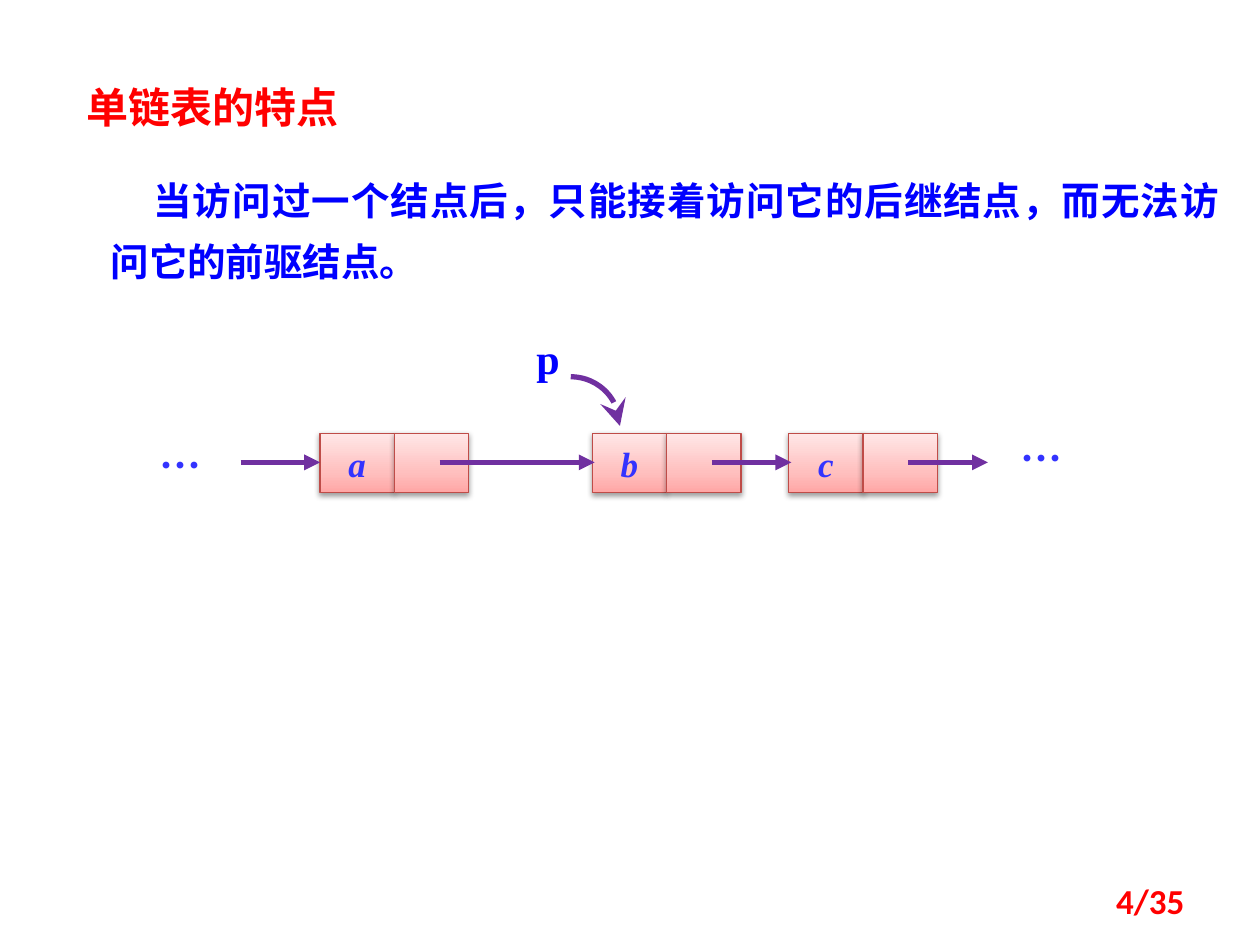
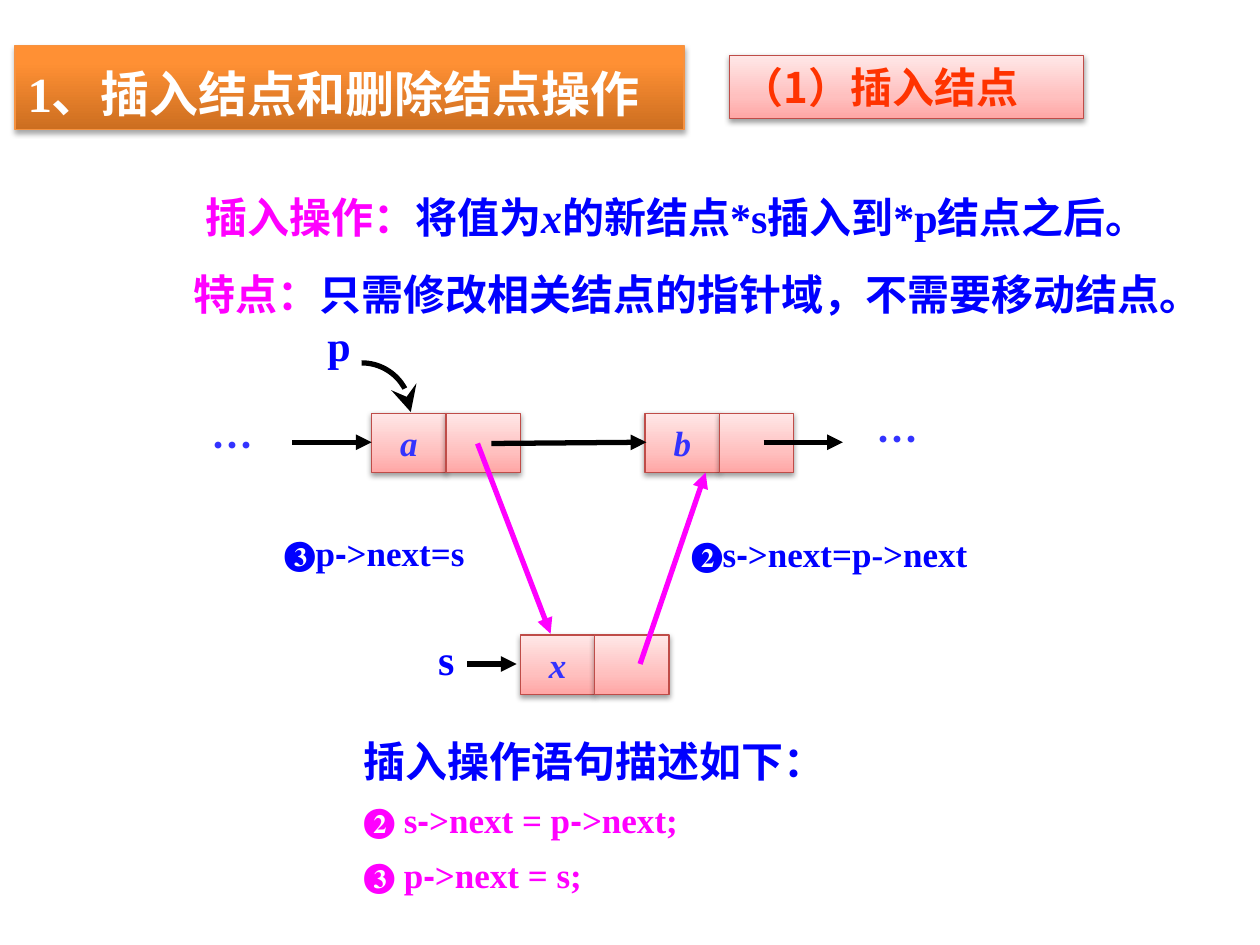
import dataclasses
import math
import typing

import lxml.etree
import pptx
import pptx.dml.color
import pptx.enum.shapes
import pptx.enum.text
import pptx.oxml.ns
import pptx.util

PX = 9144  # EMU in one px, 100 px to the inch
ALIGN = pptx.enum.text.PP_ALIGN
ANCHOR = pptx.enum.text.MSO_ANCHOR
FIT = pptx.enum.text.MSO_AUTO_SIZE
SHAPE = pptx.enum.shapes.MSO_SHAPE
qn = pptx.oxml.ns.qn


@dataclasses.dataclass(frozen=True)
class Skin:
    """Fill stops from bottom to top, edge colour and shadow of a panel."""
    stops: tuple[tuple[int, str], ...]
    edge: str
    alpha: int
    drop: int


@dataclasses.dataclass(frozen=True)
class Theme:
    blue: str = "0000FF"
    mark: str = "3333FF"
    red: str = "FF0000"
    warm: str = "FF3300"
    pink: str = "FF00FF"
    plum: str = "7030A0"
    black: str = "000000"
    white: str = "FFFFFF"
    han: str = "Noto Sans CJK SC"
    serif: str = "Times New Roman"
    sans: str = "Arial"
    page: str = "Calibri"
    huge: int = 28
    big: int = 24
    body: int = 22
    small: int = 20
    thick: float = 3
    thin: float = 0.75
    rose: Skin = Skin(((0, "FFA6A5"), (35, "FFC0BF"), (100, "FFE7E7")), "BF4C48", 38, 20000)
    amber: Skin = Skin(((0, "CC6E20"), (80, "FF9034"), (100, "FF9136")), "F69240", 35, 23000)


T = Theme()


@dataclasses.dataclass(frozen=True)
class Run:
    text: str
    ink: str = T.blue
    size: int = T.big
    font: str = T.serif
    slant: bool = False


@dataclasses.dataclass(frozen=True)
class Box:
    left: int
    top: int
    width: int
    height: int


@dataclasses.dataclass(frozen=True)
class Style:
    align: typing.Any = ALIGN.LEFT
    anchor: typing.Any = ANCHOR.TOP
    space: float = 1
    indent: int = 0
    wrap: bool = True
    grow: bool = True


@dataclasses.dataclass(frozen=True)
class Node:
    left: int
    top: int
    name: str


@dataclasses.dataclass(frozen=True)
class Link:
    x1: int
    y1: int
    x2: int
    y2: int
    ink: str


CELL = Box(0, 0, 59, 47)
CENTER = Style(align=ALIGN.CENTER)
LABEL = Style(ALIGN.CENTER, ANCHOR.MIDDLE, wrap=False, grow=False)

Rows = typing.Sequence[typing.Sequence[Run]]


def color(ink: str) -> pptx.dml.color.RGBColor:
    return pptx.dml.color.RGBColor.from_string(ink)


def place(box: Box) -> list[int]:
    return [side * PX for side in (box.left, box.top, box.width, box.height)]


def write(shape: typing.Any, rows: Rows, style: Style) -> None:
    """Set the rows of runs in the shape, one paragraph a row."""
    frame = shape.text_frame
    frame.word_wrap = style.wrap
    frame.vertical_anchor = style.anchor
    frame.auto_size = FIT.SHAPE_TO_FIT_TEXT if style.grow else FIT.NONE
    for at, row in enumerate(rows):
        para = frame.add_paragraph() if at else frame.paragraphs[0]
        para.alignment = style.align
        para.line_spacing = style.space
        if style.indent:
            para._p.get_or_add_pPr().set("indent", str(style.indent * PX))
        for part in row:
            run = para.add_run()
            run.text = part.text
            font = run.font
            font.name, font.size = part.font, pptx.util.Pt(part.size)
            font.bold, font.italic = True, part.slant
            font.color.rgb = color(part.ink)
            face = lxml.etree.Element(qn("a:ea"), typeface=T.han)
            run._r.rPr.find(qn("a:latin")).addnext(face)


def text(slide: typing.Any, box: Box, rows: Rows, style: Style = Style()) -> None:
    write(slide.shapes.add_textbox(*place(box)), rows, style)


def panel(slide: typing.Any, box: Box, skin: Skin, rows: Rows = (),
          style: Style = Style()) -> None:
    """Draw a shaded rectangle with a soft shadow below it."""
    shape = slide.shapes.add_shape(SHAPE.RECTANGLE, *place(box))
    shape.line.color.rgb = color(skin.edge)
    shape.line.width = pptx.util.Pt(T.thin)
    sub = lxml.etree.SubElement
    fill = lxml.etree.Element(qn("a:gradFill"), rotWithShape="1")
    stops = sub(fill, qn("a:gsLst"))
    for pos, ink in skin.stops:
        stop = sub(stops, qn("a:gs"), pos=str(pos * 1000))
        sub(stop, qn("a:srgbClr"), val=ink)
    sub(fill, qn("a:lin"), ang="16200000", scaled="0")
    props = shape._element.spPr
    props.find(qn("a:ln")).addprevious(fill)
    glow = sub(sub(props, qn("a:effectLst")), qn("a:outerShdw"), blurRad="40000",
               dist=str(skin.drop), dir="5400000", rotWithShape="0")
    tint = sub(glow, qn("a:srgbClr"), val=T.black)
    sub(tint, qn("a:alpha"), val=str(skin.alpha * 1000))
    if rows:
        write(shape, rows, style)


def node(slide: typing.Any, item: Node) -> None:
    """Draw a data cell and, to its right, an empty pointer cell."""
    name = Run(item.name, T.mark, T.small, slant=True)
    for step, rows in enumerate(([[name]], ())):
        box = Box(item.left + step * CELL.width, item.top, CELL.width, CELL.height)
        panel(slide, box, T.rose, rows, LABEL)


def stroke(shape: typing.Any, ink: str, kind: str, size: str) -> None:
    """Give the line its colour, width and arrowhead."""
    shape.line.color.rgb = color(ink)
    shape.line.width = pptx.util.Pt(T.thick)
    props = shape._element.spPr
    lxml.etree.SubElement(props.find(qn("a:ln")), qn("a:tailEnd"),
                          type=kind, w=size, len=size)
    if props.find(qn("a:effectLst")) is None:
        lxml.etree.SubElement(props, qn("a:effectLst"))


def link(slide: typing.Any, item: Link) -> None:
    ends = [side * PX for side in (item.x1, item.y1, item.x2, item.y2)]
    kind = pptx.enum.shapes.MSO_CONNECTOR.STRAIGHT
    stroke(slide.shapes.add_connector(kind, *ends), item.ink, "triangle", "med")


def bend(slide: typing.Any, left: int, top: int, ink: str) -> None:
    """Draw a quarter turn that ends pointing down."""
    side, steps = 39 * PX, 24
    turns = [math.pi / 2 * at / steps for at in range(steps + 1)]
    dots = [(round(left * PX + side * math.sin(turn)),
             round(top * PX + side * (1 - math.cos(turn)))) for turn in turns]
    pen = slide.shapes.build_freeform(*dots[0])
    pen.add_line_segments(dots[1:], close=False)
    shape = pen.convert_to_shape()
    shape.fill.background()
    shape.shadow.inherit = False
    stroke(shape, ink, "stealth", "lg")


def name(slide: typing.Any, left: int, top: int, word: str) -> None:
    text(slide, Box(left, top, 47, 50), [[Run(word)]])


def dots(slide: typing.Any, left: int, top: int) -> None:
    text(slide, Box(left, top, 63, 50), [[Run("…", T.mark, font=T.han)]], CENTER)


def code(line: str, ink: str, limit: int = -1) -> list[Run]:
    """Split a statement so that its hyphens are set in the sans font."""
    first, *rest = line.split("-", limit)
    runs = [Run(first, ink, T.small)]
    for part in rest:
        runs += [Run("-", ink, T.small, T.sans), Run(part, ink, T.small)]
    return runs


def traits(slide: typing.Any) -> None:
    text(slide, Box(78, 125, 900, 106),
         [[Run("当访问过一个结点后，只能接着访问它的后继结点，而无法访问它的前驱结点。",
               size=T.body, font=T.han)]],
         Style(ALIGN.JUSTIFY, space=1.3, indent=34))
    text(slide, Box(59, 60, 273, 50), [[Run("单链表的特点", T.red, font=T.han)]])
    for left, word in ((254, "a"), (470, "b"), (626, "c")):
        node(slide, Node(left, 344, word))
    for start, end in ((191, 254), (349, 472), (565, 628), (721, 784)):
        link(slide, Link(start, 367, end, 367, T.plum))
    dots(slide, 112, 344)
    dots(slide, 795, 338)
    bend(slide, 453, 299, T.plum)
    name(slide, 416, 259, "p")
    text(slide, Box(717, 695, 233, 40), [[Run("4/35", T.red, T.small, T.page)]],
         Style(ALIGN.RIGHT, ANCHOR.MIDDLE, grow=False))


def insert(slide: typing.Any) -> None:
    for item in (Node(295, 328, "a"), Node(512, 328, "b"), Node(413, 504, "x")):
        node(slide, item)
    for item in (Link(232, 351, 295, 351, T.black), Link(390, 352, 513, 351, T.black),
                 Link(606, 351, 669, 351, T.black), Link(371, 527, 410, 527, T.black),
                 Link(508, 527, 560, 375, T.pink), Link(379, 352, 437, 503, T.pink)):
        link(slide, item)
    dots(slide, 153, 328)
    dots(slide, 681, 323)
    bend(slide, 287, 288, T.black)
    name(slide, 250, 249, "p")
    name(slide, 338, 498, "s")
    text(slide, Box(539, 418, 308, 43), [code("❷s->next=p->next", T.blue, 1)])
    text(slide, Box(216, 417, 207, 43), [code("❸p->next=s", T.blue)])
    text(slide, Box(279, 567, 425, 149),
         [[Run("插入操作语句描述如下：")],
          code("❷ s->next = p->next;", T.pink),
          code("❸ p->next = s;", T.pink)], Style(space=1.3))
    text(slide, Box(153, 139, 824, 59),
         [[Run("插入操作：", T.pink), Run("将值为"), Run("x", slant=True),
           Run("的新结点*s插入到*p结点之后。")]], Style(space=1.2))
    text(slide, Box(144, 208, 843, 50),
         [[Run("特点：", T.pink), Run("只需修改相关结点的指针域，不需要移动结点。")]])
    panel(slide, Box(12, 36, 531, 67), T.amber,
          [[Run("1、插入结点和删除结点操作", T.white, T.huge)]],
          Style(ALIGN.JUSTIFY, space=1.2))
    panel(slide, Box(579, 44, 281, 50), T.rose,
          [[Run("（1）插入结点", T.warm, font=T.han)]])


def main() -> None:
    deck = pptx.Presentation()
    deck.slide_width, deck.slide_height = 1000 * PX, 750 * PX
    for draw in (traits, insert):
        draw(deck.slides.add_slide(deck.slide_layouts[6]))
    deck.save("out.pptx")


if __name__ == "__main__":
    main()
